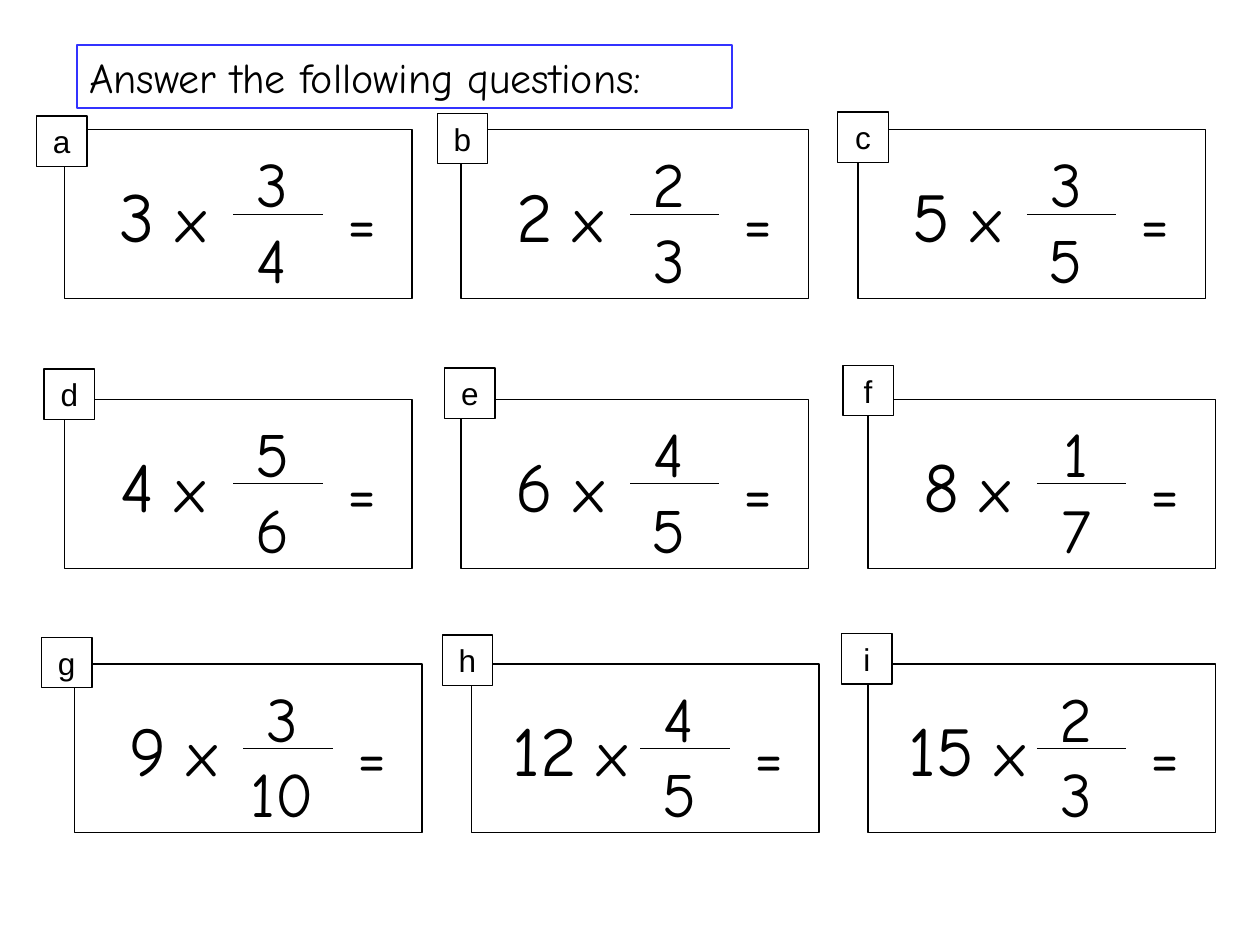
from pptx import Presentation
from pptx.dml.color import RGBColor
from pptx.enum.shapes import MSO_CONNECTOR, MSO_SHAPE
from pptx.enum.text import MSO_ANCHOR, MSO_AUTO_SIZE, PP_ALIGN
from pptx.oxml.ns import qn
from pptx.util import Inches, Pt
from lxml import etree

RECTANGLE = MSO_SHAPE.RECTANGLE
STRAIGHT = MSO_CONNECTOR.STRAIGHT
TOP = MSO_ANCHOR.TOP
GROW = MSO_AUTO_SIZE.SHAPE_TO_FIT_TEXT
LEFT, CENTER = PP_ALIGN.LEFT, PP_ALIGN.CENTER

BLACK = RGBColor(0x00, 0x00, 0x00)
WHITE = RGBColor(0xFF, 0xFF, 0xFF)
BLUE = RGBColor(0x33, 0x33, 0xFF)
HAND_FONT, TAG_FONT = "Comic Neue", "Arial"

CARD_WIDTH, CARD_HEIGHT, TAG_SIZE = 2.76, 1.34, 0.4

# label, tag corner, card corner, whole number, numerator, denominator
QUESTIONS = [
    ("a", (0.29, 0.92), (0.51, 1.03), "3", "3", "4"),
    ("b", (3.47, 0.90), (3.66, 1.03), "2", "2", "3"),
    ("c", (6.65, 0.89), (6.81, 1.03), "5", "3", "5"),
    ("d", (0.35, 2.93), (0.51, 3.17), "4", "5", "6"),
    ("e", (3.53, 2.92), (3.66, 3.17), "6", "4", "5"),
    ("f", (6.69, 2.90), (6.89, 3.17), "8", "1", "7"),
    ("g", (0.33, 5.06), (0.59, 5.27), "9", "3", "10"),
    ("h", (3.51, 5.04), (3.74, 5.27), "12", "4", "5"),
    ("i", (6.68, 5.03), (6.89, 5.27), "15", "2", "3"),
]


def add_frame(shapes, left, top, width, height, color=BLACK, weight=0.75):
    """Add a white rectangle with a thin outline."""
    frame = shapes.add_shape(
        RECTANGLE, Inches(left), Inches(top), Inches(width), Inches(height))
    frame.shadow.inherit = False
    frame.fill.solid()
    frame.fill.fore_color.rgb = WHITE
    frame.line.color.rgb = color
    frame.line.width = Pt(weight)
    return frame


def write(shape, text, size, font=HAND_FONT, align=CENTER):
    """Write one styled paragraph into a shape and return it."""
    frame = shape.text_frame
    frame.word_wrap = True
    frame.auto_size = GROW
    frame.vertical_anchor = TOP
    paragraph = frame.paragraphs[0]
    paragraph.alignment = align
    paragraph.font.name = font
    paragraph.font.size = Pt(size)
    paragraph.font.color.rgb = BLACK
    paragraph.add_run().text = text
    return paragraph


def add_label(shapes, text, left, top, width, height=0.7, size=36):
    """Add a centred text box and return its paragraph."""
    label = shapes.add_textbox(
        Inches(left), Inches(top), Inches(width), Inches(height))
    return write(label, text, size)


def add_fraction_bar(shapes, left, top, length):
    """Add the line between numerator and denominator."""
    bar = shapes.add_connector(
        STRAIGHT, Inches(left), Inches(top), Inches(left + length), Inches(top))
    bar.line.color.rgb = BLACK
    bar.line.width = Pt(0.75)
    etree.SubElement(bar.element.spPr, qn("a:effectLst"))


def add_question(slide, left, top, whole, numerator, denominator):
    """Add a grouped card that multiplies a whole number by a fraction."""
    shapes = slide.shapes.add_group_shape().shapes
    add_frame(shapes, left, top, CARD_WIDTH, CARD_HEIGHT)
    add_label(shapes, numerator, left + 1.18, top + 0.07, 0.94)
    add_label(shapes, denominator, left + 1.18, top + 0.67, 0.94)
    add_fraction_bar(shapes, left + 1.34, top + 0.67, 0.71)
    product = add_label(shapes, whole, left, top + 0.29, 1.57, 0.77, 40)
    times = product.add_run()
    times.text = " x"
    times.font.size = Pt(36)
    add_label(shapes, "=", left + 1.81, top + 0.37, 1.1)


def add_tag(slide, label, left, top):
    """Add the small lettered square of a question."""
    tag = add_frame(slide.shapes, left, top, TAG_SIZE, TAG_SIZE)
    write(tag, label, 18, TAG_FONT)


def add_heading(slide, left, top, width, height):
    """Add the blue-outlined instruction."""
    heading = add_frame(slide.shapes, left, top, width, height, BLUE, 1)
    write(heading, "Answer the following questions:", 24, align=LEFT)


def main():
    """Build and save the worksheet slide."""
    presentation = Presentation()
    presentation.slide_width = Inches(10)
    presentation.slide_height = Inches(7.5)
    slide = presentation.slides.add_slide(presentation.slide_layouts[6])
    add_heading(slide, 0.61, 0.36, 5.2, 0.5)
    for label, tag_corner, card_corner, *numbers in QUESTIONS:
        add_question(slide, *card_corner, *numbers)
        add_tag(slide, label, *tag_corner)
    presentation.save("out.pptx")


if __name__ == "__main__":
    main()
